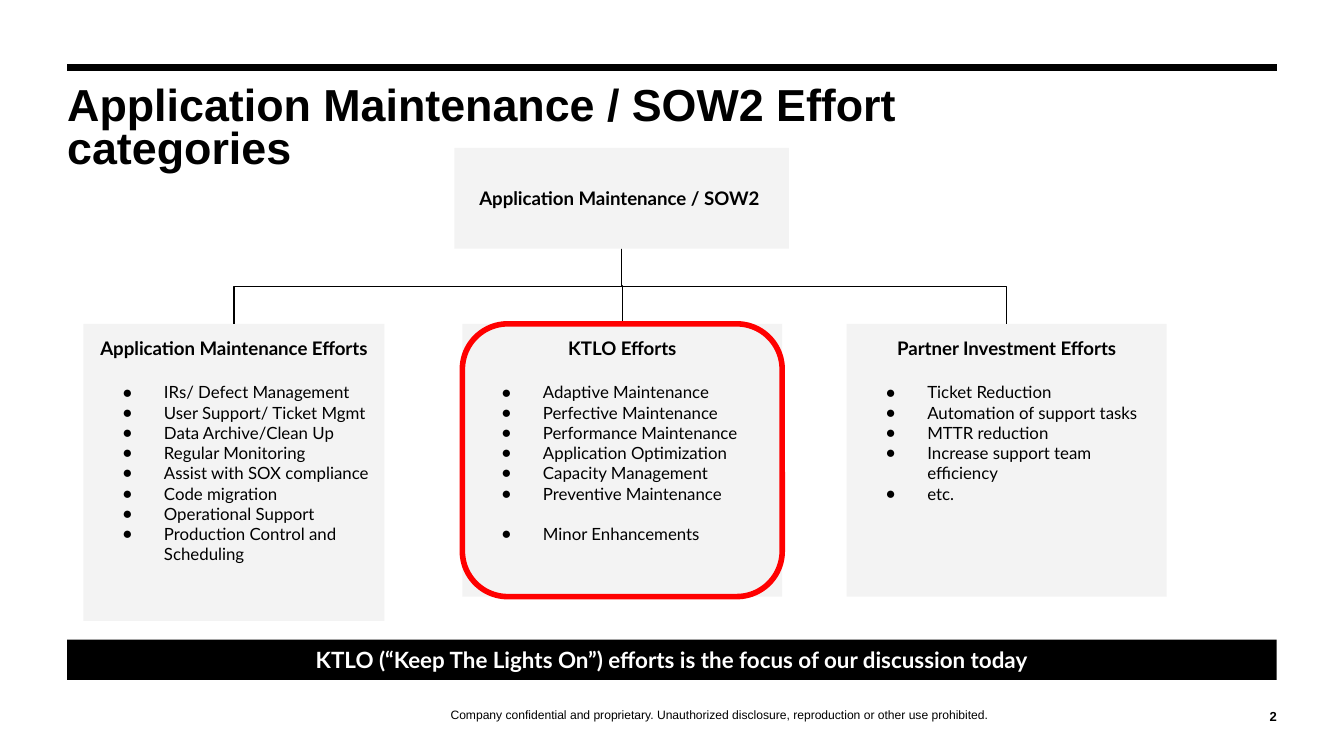
from lxml.etree import SubElement
from pptx import Presentation
from pptx.dml.color import RGBColor
from pptx.enum.shapes import MSO_CONNECTOR as Connector, MSO_SHAPE as Shape
from pptx.enum.text import MSO_ANCHOR as Anchor, MSO_AUTO_SIZE as AutoSize, PP_ALIGN as Align
from pptx.oxml.ns import qn
from pptx.util import Inches, Pt

BLACK = RGBColor(0x00, 0x00, 0x00)
WHITE = RGBColor(0xFF, 0xFF, 0xFF)
GRAY = RGBColor(0xF3, 0xF3, 0xF3)
RED = RGBColor(0xFF, 0x00, 0x00)

COMPARISON_LAYOUT = 4
ROOT = (3.38, 1.1, 2.49, 0.75)
CARD_TOP = 2.41
KTLO = (3.44, CARD_TOP, 2.38, 2.03)
CARDS = [
    ((0.62, CARD_TOP, 2.24, 2.21), "Application Maintenance Efforts", [
        "IRs/ Defect Management", "User Support/ Ticket Mgmt", "Data Archive/Clean Up",
        "Regular Monitoring", "Assist with SOX compliance", "Code migration",
        "Operational Support", "Production Control and Scheduling"]),
    (KTLO, "KTLO Efforts", [
        "Adaptive Maintenance", "Perfective Maintenance", "Performance Maintenance",
        "Application Optimization", "Capacity Management", "Preventive Maintenance",
        "Minor Enhancements"]),
    ((6.3, CARD_TOP, 2.38, 2.03), "Partner Investment Efforts", [
        "Ticket Reduction", "Automation of support tasks", "MTTR reduction",
        "Increase support team efficiency", "etc."]),
]


def place(box, frame):
    """Move and size a box to a frame given in inches."""
    box.left, box.top, box.width, box.height = map(Inches, frame)


def set_frame(box, text, anchor, inset_x=0.0, inset_y=0.0):
    """Fill a box with text and set its wrapping, anchor and insets."""
    frame = box.text_frame
    frame.text = text
    frame.word_wrap = True
    frame.auto_size = AutoSize.NONE
    frame.vertical_anchor = anchor
    frame.margin_left = frame.margin_right = Inches(inset_x)
    frame.margin_top = frame.margin_bottom = Inches(inset_y)
    return frame.paragraphs


def style(para, size, font="Lato", bold=True, color=BLACK, align=Align.CENTER, spacing=1.0):
    """Format a paragraph and its runs."""
    para.alignment = align
    para.line_spacing = spacing
    para.space_before = para.space_after = Pt(0)
    for span in para.runs:
        span.font.size = Pt(size)
        span.font.name = font
        span.font.bold = bold
        span.font.color.rgb = color


def set_bullet(para, char=None):
    """Give a paragraph a hanging bullet, or none at all."""
    props = para._p.get_or_add_pPr()
    props.set("marL", str(Inches(0.5 if char else 0)))
    props.set("indent", str(Inches(-0.31 if char else 0)))
    if char:
        SubElement(props, qn("a:buChar")).set("char", char)
    else:
        SubElement(props, qn("a:buNone"))


def fill_box(box, color):
    """Give a box a solid fill and no outline."""
    box.fill.solid()
    box.fill.fore_color.rgb = color
    box.line.fill.background()


def fill_card(box, frame, heading, items=(), anchor=Anchor.TOP):
    """Turn a body placeholder into a gray card with a heading and a list."""
    place(box, frame)
    fill_box(box, GRAY)
    first, *rest = set_frame(box, "\n".join([heading, *items]), anchor, 0.1, 0.1)
    style(first, 10)
    first.space_after = Pt(12 if items else 0)
    set_bullet(first)
    for para in rest:
        style(para, 9, bold=False, align=Align.LEFT)
        if para.text == "Minor Enhancements":
            para.space_before = Pt(10.8)
        set_bullet(para, "●")


def add_label(page, frame, text, size, align, bold=False, spacing=1.0):
    """Add a bottom-anchored line of small print."""
    box = page.shapes.add_textbox(*map(Inches, frame))
    style(set_frame(box, text, Anchor.BOTTOM)[0], size, "Arial", bold, align=align, spacing=spacing)


def add_line(page, kind, start, end, weight):
    """Add a plain black connector."""
    line = page.shapes.add_connector(kind, *map(Inches, (*start, *end)))
    line.line.color.rgb = BLACK
    line.line.width = Pt(weight)
    SubElement(line._element.spPr, qn("a:effectLst"))
    return line


def add_branch(page, start, end):
    """Add an elbow that leaves downward, as a sideways elbow turned by 90 degrees."""
    run, drop = end[0] - start[0], end[1] - start[1]
    middle_x, middle_y = start[0] + run / 2, start[1] + drop / 2
    branch = add_line(page, Connector.ELBOW,
                      (middle_x - drop / 2, middle_y + run / 2),
                      (middle_x + drop / 2, middle_y - run / 2), 0.75)
    branch._element.spPr.find(qn("a:xfrm")).set("rot", str(90 * 60000))


def add_highlight(page, frame):
    """Add a red rounded outline."""
    ring = page.shapes.add_shape(Shape.ROUNDED_RECTANGLE, *map(Inches, frame))
    ring.shadow.inherit = False
    ring.fill.background()
    ring.line.color.rgb = RED
    ring.line.width = Pt(3)


def add_banner(page, frame, text):
    """Add a black bar with a white message."""
    bar = page.shapes.add_shape(Shape.RECTANGLE, *map(Inches, frame))
    bar.shadow.inherit = False
    fill_box(bar, BLACK)
    style(set_frame(bar, text, Anchor.MIDDLE, 0.1, 0.05)[0], 12, color=WHITE)


def main():
    """Build the slide and save the deck."""
    deck = Presentation()
    deck.slide_width = Inches(10)
    deck.slide_height = deck.slide_width * 9 // 16
    page = deck.slides.add_slide(deck.slide_layouts[COMPARISON_LAYOUT])
    title, root, *bodies = page.placeholders

    add_label(page, (1.46, 5.04, 7.79, 0.33),
              "Company confidential and proprietary. Unauthorized disclosure, "
              "reproduction or other use prohibited.", 6.5, Align.CENTER, spacing=1.14)
    add_line(page, Connector.STRAIGHT, (0.5, 0.5), (9.5, 0.5), 3.75)
    add_label(page, (9.25, 5.14, 0.25, 0.25), "2", 7, Align.RIGHT, bold=True)

    place(title, (0.5, 0.65, 7.75, 0.75))
    heading = set_frame(title, "Application Maintenance / SOW2 Effort categories", Anchor.TOP)[0]
    style(heading, 24, "Arial", align=Align.LEFT, spacing=0.8)

    fill_card(root, ROOT, "Application Maintenance / SOW2 ", anchor=Anchor.MIDDLE)
    left, top, width, height = ROOT
    trunk = (left + width / 2, top + height)
    for body, (frame, name, items) in zip(bodies, CARDS):
        fill_card(body, frame, name, items)
        add_branch(page, trunk, (frame[0] + frame[2] / 2, CARD_TOP))

    add_highlight(page, KTLO)
    add_banner(page, (0.5, 4.76, 9, 0.3),
               "KTLO (“Keep The Lights On”) efforts is the focus of our discussion today")
    deck.save("out.pptx")


if __name__ == "__main__":
    main()
